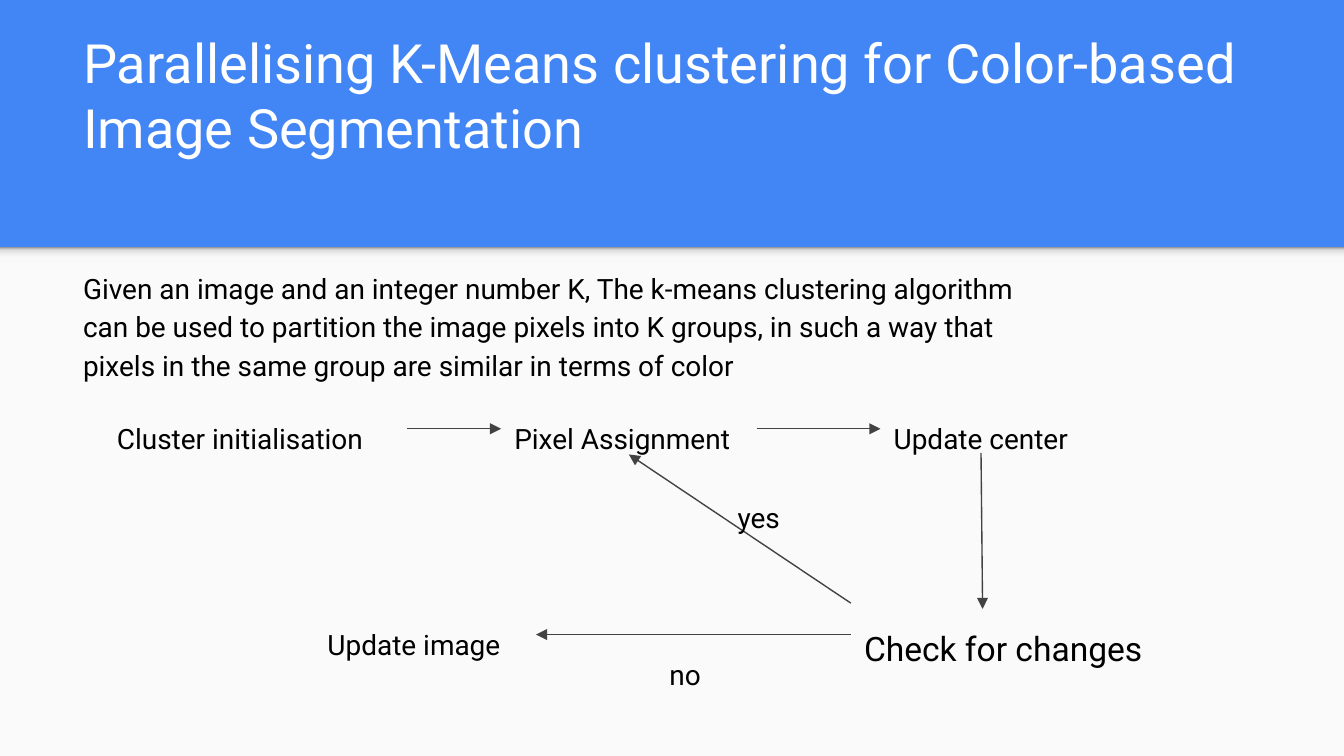
from copy import deepcopy

from pptx import Presentation
from pptx.dml.color import RGBColor
from pptx.enum.shapes import MSO_CONNECTOR as Link, MSO_SHAPE as Form
from pptx.enum.text import MSO_ANCHOR as Anchor
from pptx.oxml.ns import qn
from pptx.oxml.xmlchemy import OxmlElement as make_element
from pptx.util import Cm, Pt

COLORS = {
    "header": "4285F4",
    "panel": "FAFAFA",
    "title": "FFFFFF",
    "text": "000000",
    "arrow": "424242",
}
SHADOW_STOPS = [(0, "F9F9F9"), (0.36, "F9F9F9"), (0.8, "DEDEDE"), (1, "999999")]
TOP, LEFT, BOTTOM, RIGHT = range(4)
WIDTH, HEIGHT = 25.4, 14.29
PANEL_TOP = 4.67
STEP_HEIGHT = 0.97
UPPER_ROW, LOWER_ROW = 7.62, 11.51


class Painter:
    """Draws styled elements on the current page."""

    def __init__(self, page, font="Roboto"):
        self.page = page
        self.font = font

    def color(self, name):
        return RGBColor.from_string(COLORS[name])

    def background(self, name):
        fill = self.page.background.fill
        fill.solid()
        fill.fore_color.rgb = self.color(name)

    def bar(self, top, height):
        shape = self.page.shapes.add_shape(
            Form.RECTANGLE, Cm(0), Cm(top), Cm(WIDTH), Cm(height))
        shape.shadow.inherit = False
        shape.line.fill.background()
        return shape

    def panel(self, top, height, name):
        fill = self.bar(top, height).fill
        fill.solid()
        fill.fore_color.rgb = self.color(name)

    def shadow(self, top, height, stops):
        shape = self.bar(top, height)
        shape.fill.gradient()
        shape.fill.gradient_angle = 90
        stop_list = shape.element.spPr.find(".//" + qn("a:gsLst"))
        while len(stop_list) < len(stops):
            stop_list.append(deepcopy(stop_list[0]))
        for stop, (position, value) in zip(shape.fill.gradient_stops, stops):
            stop.position = position
            stop.color.rgb = RGBColor.from_string(value)

    def text(self, words, left, top, width, height=STEP_HEIGHT, size=15,
             color="text", spacing=1.15, anchor=Anchor.TOP, bottom=0.25):
        box = self.page.shapes.add_textbox(Cm(left), Cm(top), Cm(width), Cm(height))
        frame = box.text_frame
        frame.word_wrap = True
        frame.vertical_anchor = anchor
        frame.margin_left = frame.margin_right = frame.margin_top = Cm(0.25)
        frame.margin_bottom = Cm(bottom)
        frame.text = words
        para = frame.paragraphs[0]
        para.line_spacing = spacing
        for span in para.runs:
            span.font.name = self.font
            span.font.size = Pt(size)
            span.font.color.rgb = self.color(color)
        return box

    def arrow(self, start=(0, 0), end=(0, 0), source=None, target=None):
        line = self.page.shapes.add_connector(
            Link.STRAIGHT, *(Cm(length) for length in (*start, *end)))
        if source:
            line.begin_connect(*source)
        if target:
            line.end_connect(*target)
        line.line.color.rgb = self.color("arrow")
        line.line.width = Pt(0.75)
        head = make_element("a:tailEnd")
        head.set("type", "triangle")
        line.line._get_or_add_ln().append(head)
        line.element.spPr.append(make_element("a:effectLst"))


def main():
    deck = Presentation()
    deck.slide_width, deck.slide_height = Cm(WIDTH), Cm(HEIGHT)
    painter = Painter(deck.slides.add_slide(deck.slide_layouts[6]))

    painter.background("header")
    painter.panel(PANEL_TOP, HEIGHT - PANEL_TOP, "panel")
    painter.shadow(PANEL_TOP, 0.3, SHADOW_STOPS)
    painter.text("Parallelising K-Means clustering for Color-based Image Segmentation",
                 1.32, 2.06, 22.83, 2.13, size=29, color="title", spacing=1.0,
                 anchor=Anchor.BOTTOM, bottom=1.17)
    painter.text("Given an image and an integer number K, The k-means clustering "
                 "algorithm can be used to partition the image pixels into K groups, "
                 "in such a way that pixels in the same group are similar in terms "
                 "of color", 1.32, 4.78, 18.87, 2.67)

    start = painter.text("Cluster initialisation", 1.96, UPPER_ROW, 5.74)
    assign = painter.text("Pixel Assignment", 9.47, UPPER_ROW, 4.83)
    center = painter.text("Update center", 16.64, UPPER_ROW, 6.6)
    check = painter.text("Check for changes", 16.08, LOWER_ROW, 6.6, size=18)
    image = painter.text("Update image", 5.94, LOWER_ROW, 4.19)

    painter.arrow(source=(start, RIGHT), target=(assign, LEFT))
    painter.arrow(source=(assign, RIGHT), target=(center, LEFT))
    painter.arrow(start=(18.54, 8.56), end=(18.57, LOWER_ROW))
    painter.arrow(start=(16.08, 11.4), target=(assign, BOTTOM))
    painter.arrow(source=(check, LEFT), target=(image, RIGHT))

    painter.text("yes", 13.69, 9.12, 1.42)
    painter.text("no", 12.4, 12.09, 1.42)
    deck.save("out.pptx")


if __name__ == "__main__":
    main()
